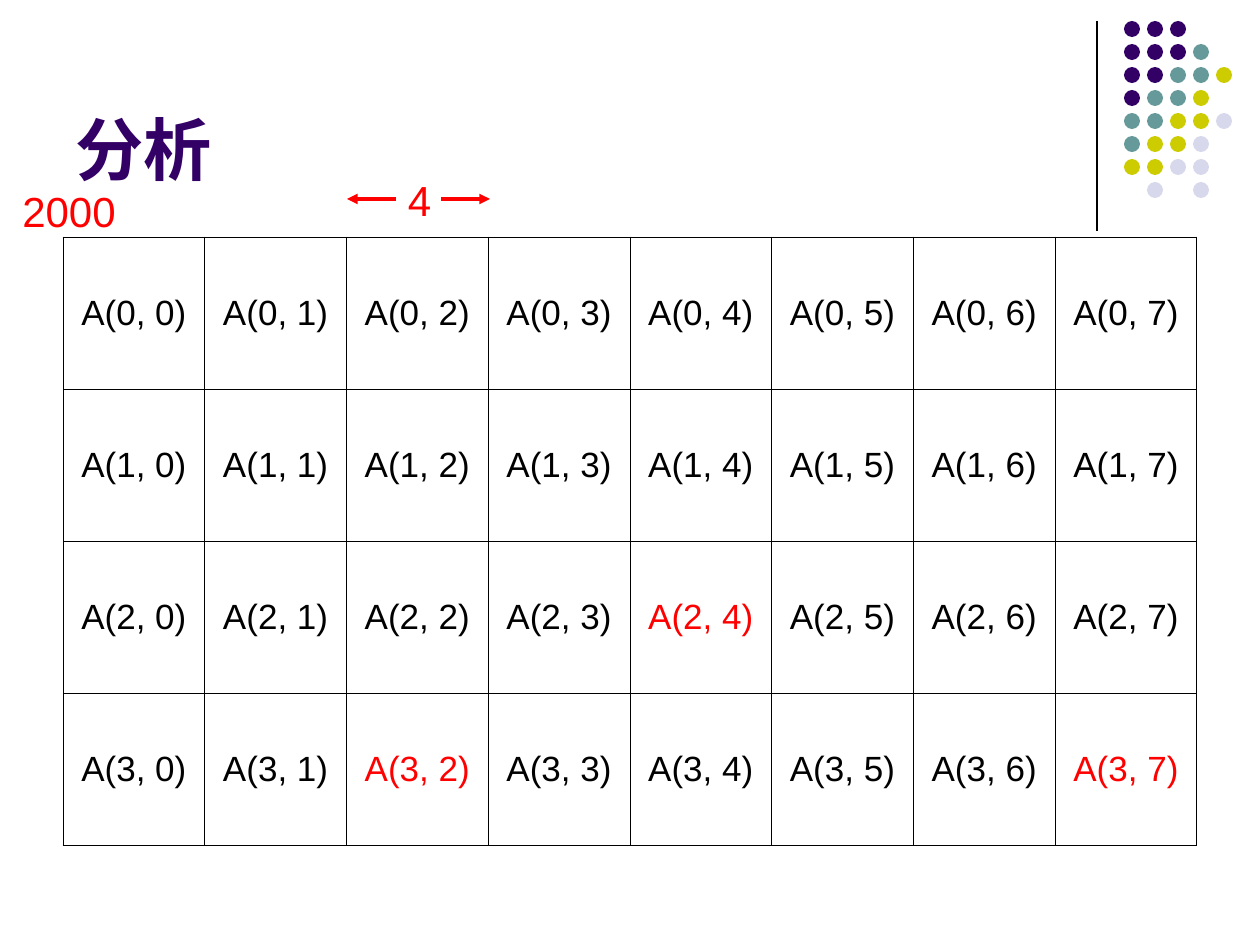
from lxml.etree import SubElement
from pptx import Presentation
from pptx.dml.color import RGBColor
from pptx.enum.shapes import MSO_CONNECTOR as CONN, MSO_SHAPE as SHAPE
from pptx.enum.text import MSO_ANCHOR as ANCHOR, MSO_AUTO_SIZE as FIT, PP_ALIGN as ALIGN
from pptx.oxml.ns import qn
from pptx.util import Pt

EMU_PER_PX = 914400 / 126


def px(n):
    return round(n * EMU_PER_PX)


def rgb(color):
    return RGBColor.from_string(color)


class SlideBuilder:
    FONT = "Arial"
    BLACK, RED, PURPLE = "000000", "FF0000", "330066"

    def __init__(self, slide):
        self.s = slide

    def style(self, p, size, color, align=ALIGN.CENTER, bold=False):
        p.alignment = align
        f = p.font
        f.name, f.size, f.bold = self.FONT, Pt(size), bold
        f.color.rgb = rgb(color)

    def title(self, text, x, y, w, h):
        sp = self.s.shapes.title
        sp.left, sp.top, sp.width, sp.height = px(x), px(y), px(w), px(h)
        tf = sp.text_frame
        tf.text = text
        tf.auto_size, tf.vertical_anchor = FIT.NONE, ANCHOR.BOTTOM
        self.style(tf.paragraphs[0], 39, self.PURPLE, ALIGN.LEFT, True)

    def label(self, text, x, y, w, h):
        tf = self.s.shapes.add_textbox(px(x), px(y), px(w), px(h)).text_frame
        tf.word_wrap = True
        tf.text = text
        self.style(tf.paragraphs[0], 24, self.RED)

    def line(self, x1, y1, x2, y2, color, width, arrow=False):
        c = self.s.shapes.add_connector(CONN.STRAIGHT, px(x1), px(y1), px(x2), px(y2))
        c.line.color.rgb, c.line.width = rgb(color), Pt(width)
        if arrow:
            SubElement(c.line._get_or_add_ln(), qn("a:tailEnd"), type="triangle")
        SubElement(c._element.spPr, qn("a:effectLst"))

    def dot(self, x, y, size, color):
        sp = self.s.shapes.add_shape(SHAPE.OVAL, px(x), px(y), px(size), px(size))
        sp.shadow.inherit = False
        sp.fill.solid()
        sp.fill.fore_color.rgb = rgb(color)
        sp.line.fill.background()

    def border(self, cell):
        tc_pr = cell._tc.get_or_add_tcPr()
        for side in ("lnL", "lnR", "lnT", "lnB"):
            ln = SubElement(tc_pr, qn(f"a:{side}"), w=str(Pt(0.45)))
            fill = SubElement(ln, qn("a:solidFill"))
            SubElement(fill, qn("a:srgbClr"), val=self.BLACK)

    def array_table(self, rows, cols, x, y, w, h, marked):
        table = self.s.shapes.add_table(rows, cols, px(x), px(y), px(w), px(h)).table
        table.first_row = table.horz_banding = False
        for i in range(rows):
            for j in range(cols):
                cell = table.cell(i, j)
                cell.text = f"A({i}, {j})"
                cell.vertical_anchor = ANCHOR.MIDDLE
                self.border(cell)
                cell.fill.background()
                color = self.RED if (i, j) in marked else self.BLACK
                self.style(cell.text_frame.paragraphs[0], 20, color)


def main():
    prs = Presentation()
    prs.slide_width, prs.slide_height = px(1260), px(945)
    b = SlideBuilder(prs.slides.add_slide(prs.slide_layouts[5]))

    # Corner decoration: rule and dot pattern
    b.line(1097, 21, 1097, 231, b.BLACK, 0.75)
    colors = {"P": b.PURPLE, "T": "669999", "Y": "CCCC00", "L": "D8D8EC"}
    pattern = ["PPP", "PPPT", "PPTTY", "PTTY", "TTYYL", "TYYL", "YYLL", " L L"]
    for i, row in enumerate(pattern):
        for j, key in enumerate(row):
            if key in colors:
                b.dot(1124 + 23 * j, 21 + 23 * i, 16, colors[key])

    b.title("分析", 63, 16, 1040, 179)

    # Array elements, with the ones in question marked
    b.array_table(4, 8, 63, 237, 1134, 608, {(2, 4), (3, 2), (3, 7)})

    # Base address and element size
    b.label("2000", -10, 179, 158, 63)
    b.line(396, 199, 347, 199, b.RED, 2, arrow=True)
    b.line(441, 199, 490, 199, b.RED, 2, arrow=True)
    b.label("4", 388, 168, 63, 63)

    prs.save("out.pptx")


if __name__ == "__main__":
    main()
